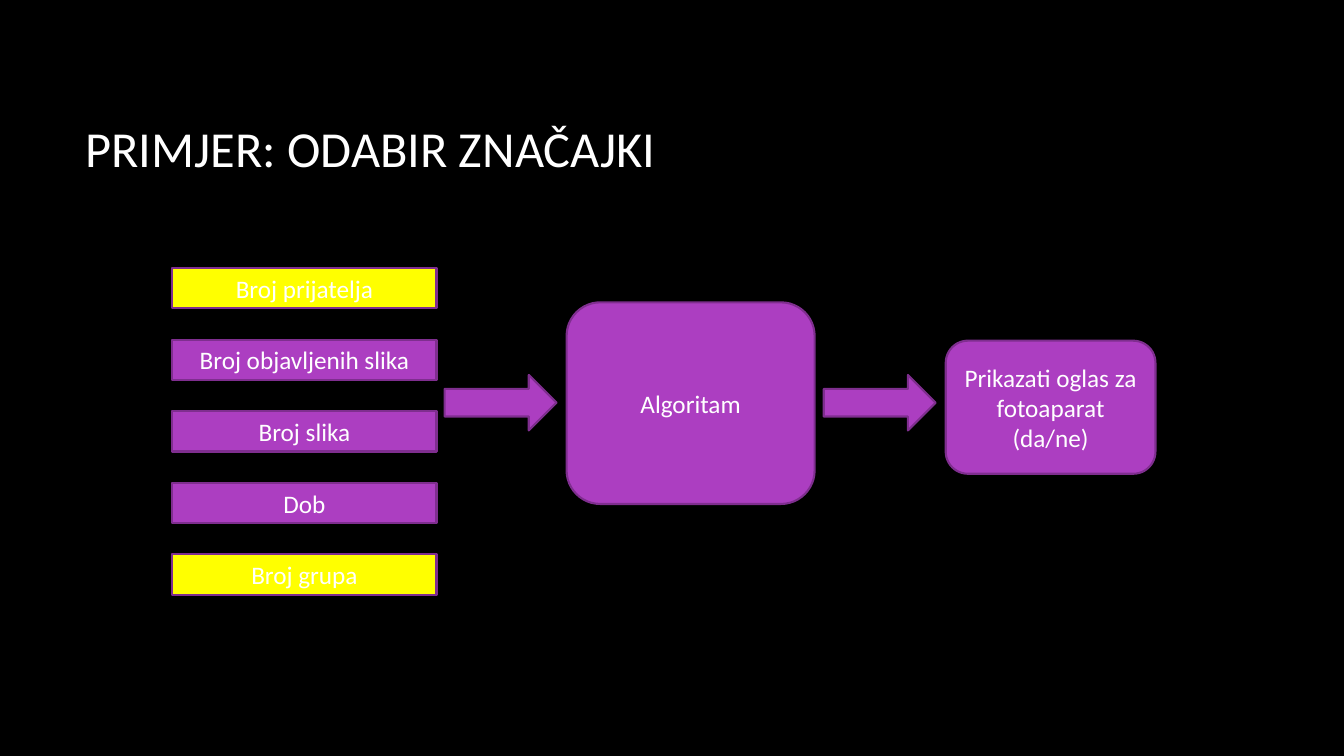
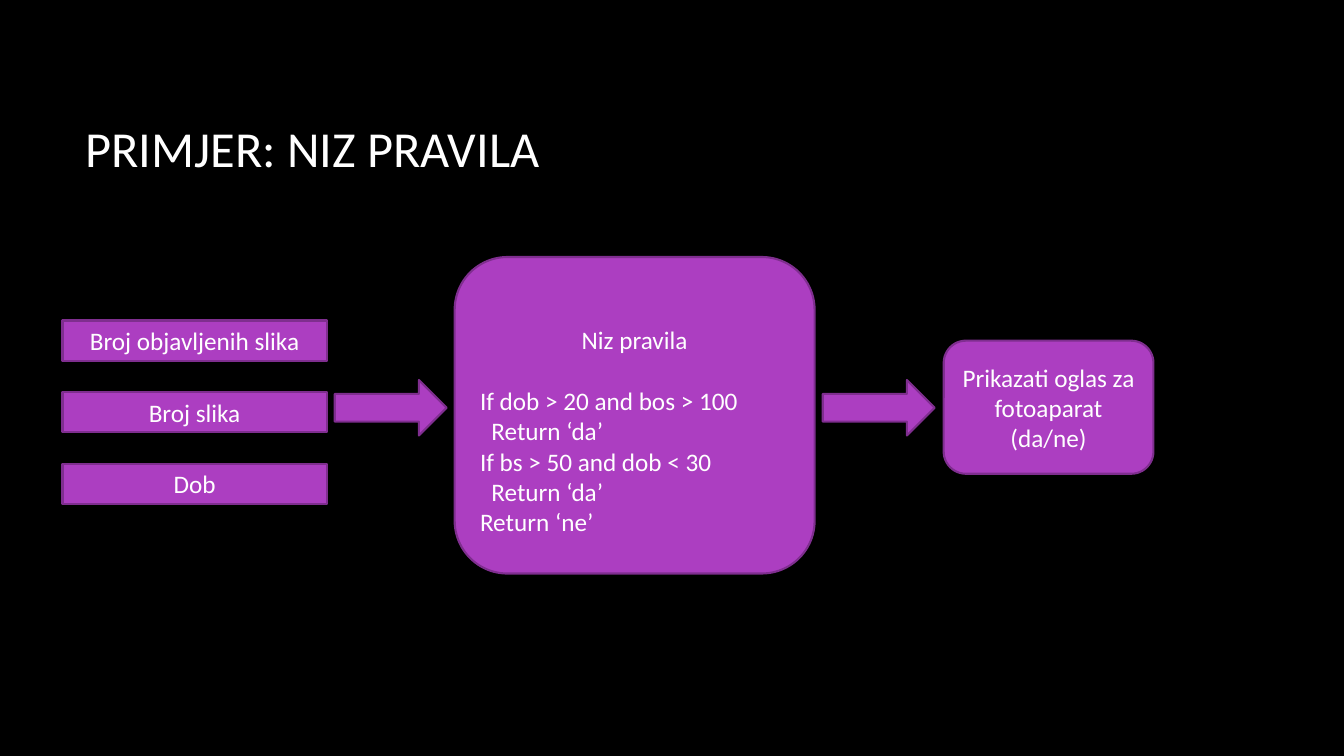
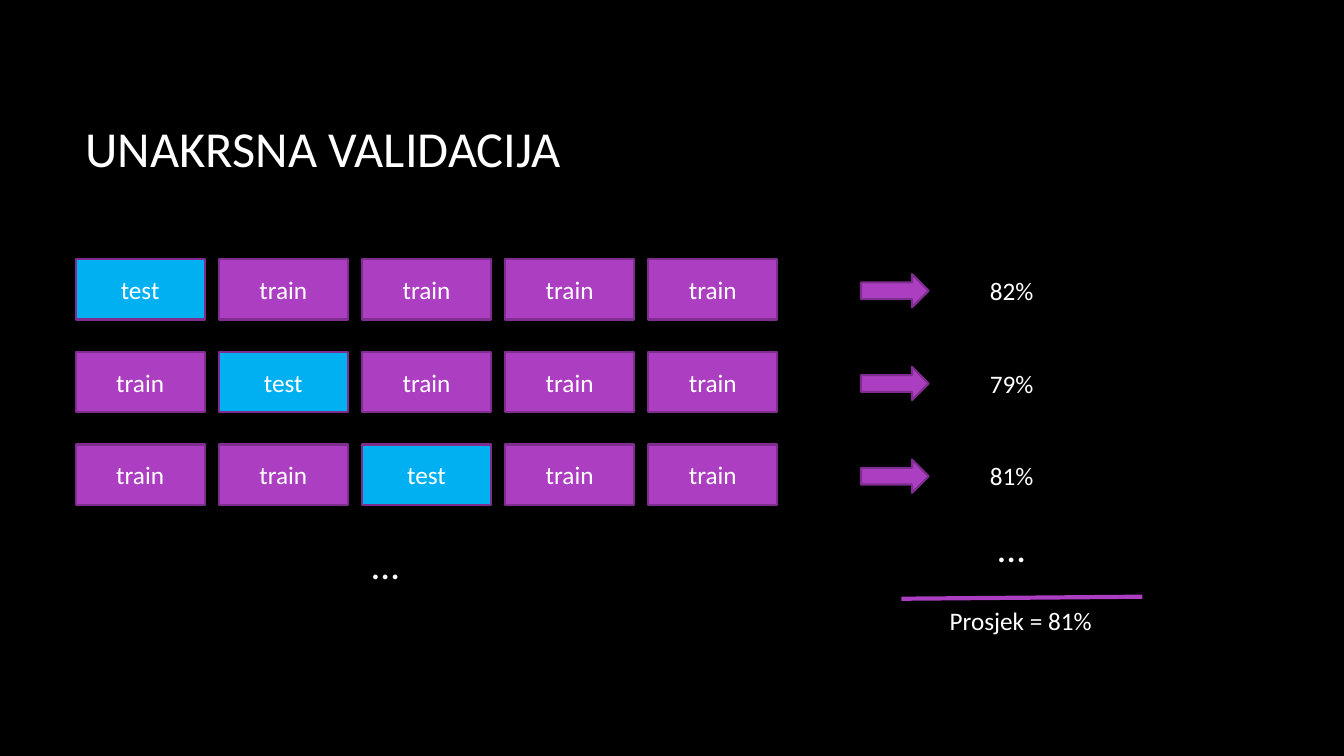
from dataclasses import dataclass

import lxml.etree
import pptx
import pptx.dml.color
import pptx.enum.shapes
import pptx.enum.text
import pptx.oxml.ns
import pptx.util

Inches = pptx.util.Inches
Pt = pptx.util.Pt
Color = pptx.dml.color.RGBColor.from_string
Shape = pptx.enum.shapes.MSO_SHAPE
Align = pptx.enum.text.PP_ALIGN
Anchor = pptx.enum.text.MSO_ANCHOR
Fit = pptx.enum.text.MSO_AUTO_SIZE


@dataclass(frozen=True)
class Theme:
    back: str = "000000"
    text: str = "FFFFFF"
    main: str = "AC3EC1"
    edge: str = "7F2E8F"
    mark: str = "FFFF00"
    test: str = "00B0F0"
    font: str = "Calibri"
    head: int = 36
    big: int = 28
    body: int = 18
    border: float = 1.5
    rule: float = 3


THEME = Theme()
RESULT = ["Prikazati oglas za fotoaparat", "(da/ne)"]
RULES = [
    "If dob > 20 and bos > 100",
    "  Return ‘da’",
    "If bs > 50 and dob < 30",
    "  Return ‘da’",
    "Return ‘ne’",
]


def add_text(frame, lines, size=THEME.body, align=Align.LEFT):
    """Append lines as paragraphs, starting with the frame's empty one."""
    for line in lines:
        fresh = not frame.paragraphs[0].runs
        para = frame.paragraphs[0] if fresh else frame.add_paragraph()
        para.alignment = align
        run = para.add_run()
        run.text = line
        run.font.name = THEME.font
        run.font.size = Pt(size)
        run.font.color.rgb = Color(THEME.text)


def add_slide(deck, title):
    slide = deck.slides.add_slide(deck.slide_layouts[6])
    box = slide.shapes.add_textbox(
        Inches(0.75), Inches(0.67), Inches(11.08), Inches(1.59))
    box.text_frame.word_wrap = True
    box.text_frame.vertical_anchor = Anchor.MIDDLE
    add_text(box.text_frame, [title], THEME.head)
    return slide


def add_block(slide, kind, left, top, width, height, lines=(), fill=THEME.main):
    block = slide.shapes.add_shape(
        kind, Inches(left), Inches(top), Inches(width), Inches(height))
    block.shadow.inherit = False
    block.fill.solid()
    block.fill.fore_color.rgb = Color(fill)
    block.line.color.rgb = Color(THEME.edge)
    block.line.width = Pt(THEME.border)
    block.text_frame.word_wrap = True
    block.text_frame.vertical_anchor = Anchor.MIDDLE
    add_text(block.text_frame, lines, align=Align.CENTER)
    return block


def add_label(slide, left, top, width, height, text, size=THEME.body):
    box = slide.shapes.add_textbox(
        Inches(left), Inches(top), Inches(width), Inches(height))
    box.text_frame.word_wrap = False
    box.text_frame.auto_size = Fit.SHAPE_TO_FIT_TEXT
    add_text(box.text_frame, [text], size)


def add_rule(slide, start, end):
    points = [Inches(n) for n in (*start, *end)]
    rule = slide.shapes.add_connector(
        pptx.enum.shapes.MSO_CONNECTOR.STRAIGHT, *points)
    rule.line.color.rgb = Color(THEME.main)
    rule.line.width = Pt(THEME.rule)
    lxml.etree.SubElement(
        rule.element.spPr, pptx.oxml.ns.qn("a:effectLst"))


def add_inputs(slide, left, top, names, marked=()):
    """Stack the feature boxes; marked names get the highlight fill."""
    for row, name in enumerate(names):
        fill = THEME.mark if name in marked else THEME.main
        add_block(slide, Shape.RECTANGLE, left, top + row * 0.71,
                  2.62, 0.4, [name], fill)


def add_flow(slide, top, lefts, result):
    """Draw the two flow arrows and the result box."""
    for left in lefts:
        add_block(slide, Shape.RIGHT_ARROW, left, top, 1.11, 0.55)
    add_block(slide, Shape.ROUNDED_RECTANGLE, result, 3.38, 2.08, 1.32, RESULT)


def build_choice(deck):
    slide = add_slide(deck, "PRIMJER: ODABIR ZNAČAJKI")
    add_block(slide, Shape.ROUNDED_RECTANGLE, 5.62, 3, 2.46, 2, ["Algoritam"])
    names = ["Broj prijatelja", "Broj objavljenih slika", "Broj slika",
             "Dob", "Broj grupa"]
    add_inputs(slide, 1.71, 2.66, names, (names[0], names[-1]))
    add_flow(slide, 3.72, (4.41, 8.17), 9.38)


def build_rules(deck):
    slide = add_slide(deck, "PRIMJER: NIZ PRAVILA")
    block = add_block(slide, Shape.ROUNDED_RECTANGLE, 4.51, 2.55, 3.57, 3.14,
                      ["Niz pravila"])
    frame = block.text_frame
    frame.margin_top = Inches(0.35)
    add_text(frame, RULES)
    frame.paragraphs[1].space_before = Pt(22)
    add_inputs(slide, 0.62, 3.18,
               ["Broj objavljenih slika", "Broj slika", "Dob"])
    add_flow(slide, 3.77, (3.32, 8.16), 9.36)


def build_folds(deck):
    slide = add_slide(deck, "UNAKRSNA VALIDACIJA")
    for row, score in enumerate(["82%", "79%", "81%"]):
        top = 2.57 + row * 0.92
        for col in range(5):
            name, fill = (("test", THEME.test) if col == row
                          else ("train", THEME.main))
            add_block(slide, Shape.RECTANGLE, 0.75 + col * 1.42, top,
                      1.28, 0.6, [name], fill)
        add_block(slide, Shape.RIGHT_ARROW, 8.54, top + 0.15, 0.67, 0.33)
        add_label(slide, 9.72, top + 0.11, 0.64, 0.4, score)
    for left, top in ((3.59, 5.31), (9.8, 5.14)):
        add_label(slide, left, top, 0.47, 0.57, "…", THEME.big)
    add_rule(slide, (8.94, 5.94), (11.33, 5.92))
    add_label(slide, 9.32, 5.96, 1.62, 0.4, "Prosjek = 81%")


def main():
    deck = pptx.Presentation()
    deck.slide_width = Inches(13.33)
    deck.slide_height = Inches(7.5)
    back = deck.slide_master.background.fill
    back.solid()
    back.fore_color.rgb = Color(THEME.back)
    build_choice(deck)
    build_rules(deck)
    build_folds(deck)
    deck.save("out.pptx")


if __name__ == "__main__":
    main()
